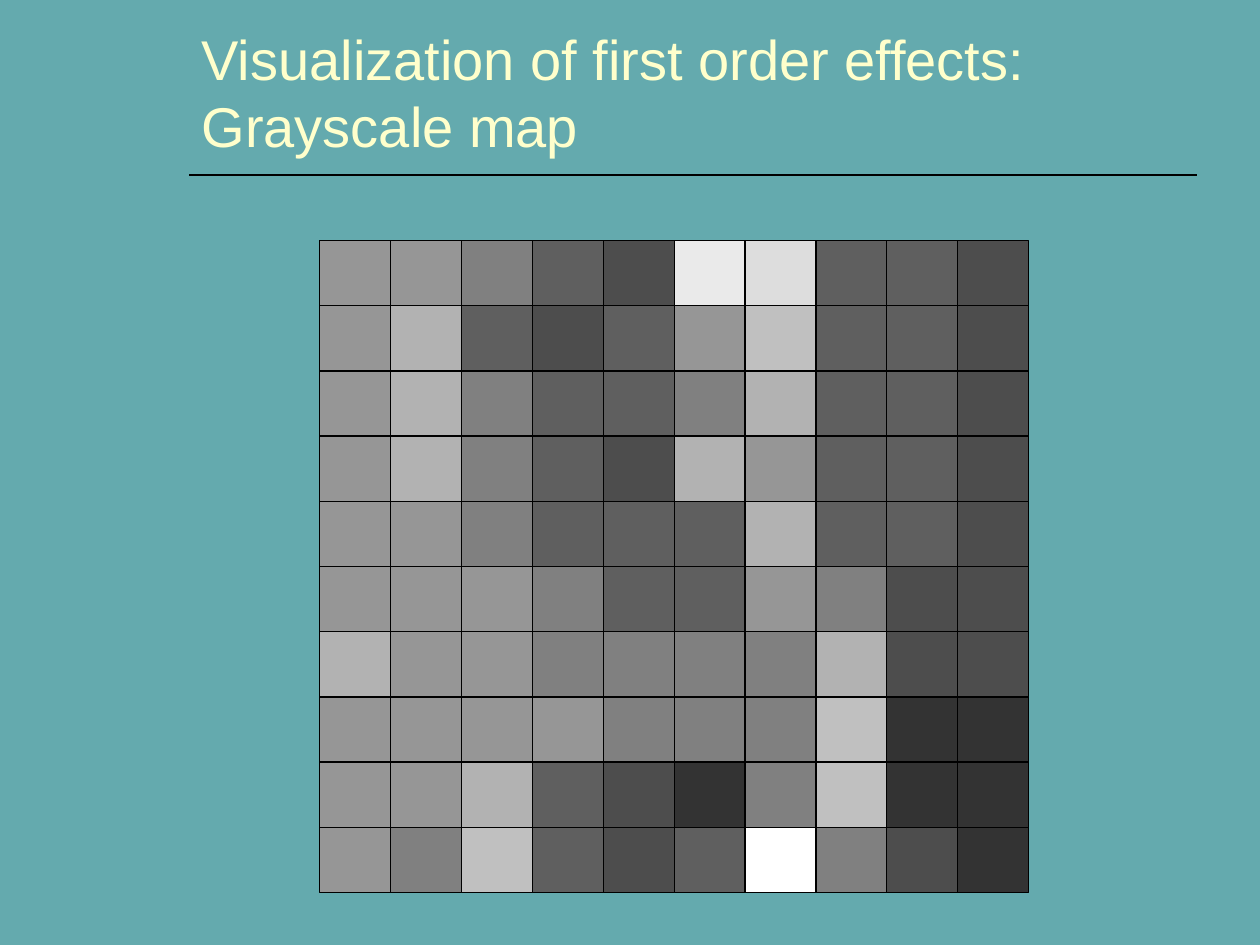
from pptx import Presentation
from pptx.dml.color import RGBColor
from pptx.enum.shapes import MSO_CONNECTOR, MSO_SHAPE
from pptx.enum.text import MSO_ANCHOR, MSO_AUTO_SIZE, PP_ALIGN
from pptx.oxml.ns import qn
from pptx.util import Pt
from lxml import etree

RECTANGLE = MSO_SHAPE.RECTANGLE
STRAIGHT = MSO_CONNECTOR.STRAIGHT
BOTTOM = MSO_ANCHOR.BOTTOM
LEFT = PP_ALIGN.LEFT
NO_AUTOFIT = MSO_AUTO_SIZE.NONE

SHADES = ["333333", "4D4D4D", "5F5F5F", "808080", "969696",
          "B2B2B2", "C0C0C0", "DDDDDD", "EAEAEA", "FFFFFF"]
INTENSITY_ROWS = [
    "4432187221",
    "4521246221",
    "4532235221",
    "4532154221",
    "4432225221",
    "4443224311",
    "5443333511",
    "4444333600",
    "4452103600",
    "4362129310",
]


def rgb(value):
    return RGBColor.from_string(value)


def write_text(frame, text, *, font, size, color, align=LEFT, anchor=BOTTOM):
    frame.word_wrap = True
    frame.auto_size = NO_AUTOFIT
    frame.vertical_anchor = anchor
    frame.margin_left = frame.margin_right = Pt(7.2)
    frame.margin_top = frame.margin_bottom = Pt(3.6)
    paragraph = frame.paragraphs[0]
    paragraph.text = text
    paragraph.alignment = align
    for run in paragraph.runs:
        run.font.name = font
        run.font.size = Pt(size)
        run.font.color.rgb = rgb(color)


class MapSlide:
    font = "Arial"
    title_color = "FFFFCC"
    line_color = "000000"
    background = "64AAAE"

    def __init__(self, deck):
        self.slide = deck.slides.add_slide(deck.slide_layouts[5])
        fill = self.slide.background.fill
        fill.solid()
        fill.fore_color.rgb = rgb(self.background)

    def title(self, text, left, top, width, height):
        heading = self.slide.shapes.title
        heading.left, heading.top = Pt(left), Pt(top)
        heading.width, heading.height = Pt(width), Pt(height)
        write_text(heading.text_frame, text, font=self.font, size=32,
                   color=self.title_color)

    def rule(self, left, right, y):
        rule = self.slide.shapes.add_connector(
            STRAIGHT, Pt(left), Pt(y), Pt(right), Pt(y))
        rule.line.color.rgb = rgb(self.line_color)
        rule.line.width = Pt(1)
        etree.SubElement(rule._element.spPr, qn("a:effectLst"))

    def cell(self, grid, shade, left, top, width, height):
        cell = grid.shapes.add_shape(
            RECTANGLE, Pt(left), Pt(top), Pt(width), Pt(height))
        cell.shadow.inherit = False
        cell.fill.solid()
        cell.fill.fore_color.rgb = rgb(shade)
        cell.line.color.rgb = rgb(self.line_color)
        cell.line.width = Pt(0.75)

    def grayscale_map(self, rows, left, top, cell_width, cell_height):
        grid = self.slide.shapes.add_group_shape()
        for row, levels in enumerate(rows):
            for column, level in enumerate(levels):
                self.cell(grid, SHADES[int(level)],
                          left + column * cell_width,
                          top + row * cell_height,
                          cell_width, cell_height)


def main():
    deck = Presentation()
    deck.slide_width, deck.slide_height = Pt(720), Pt(540)
    page = MapSlide(deck)
    page.rule(108, 684, 100)
    page.title("Visualization of first order effects:\vGrayscale map",
               108, 4.5, 576, 90)
    page.grayscale_map(INTENSITY_ROWS, 182.75, 137.5, 40.5, 37.25)
    deck.save("out.pptx")


if __name__ == "__main__":
    main()
